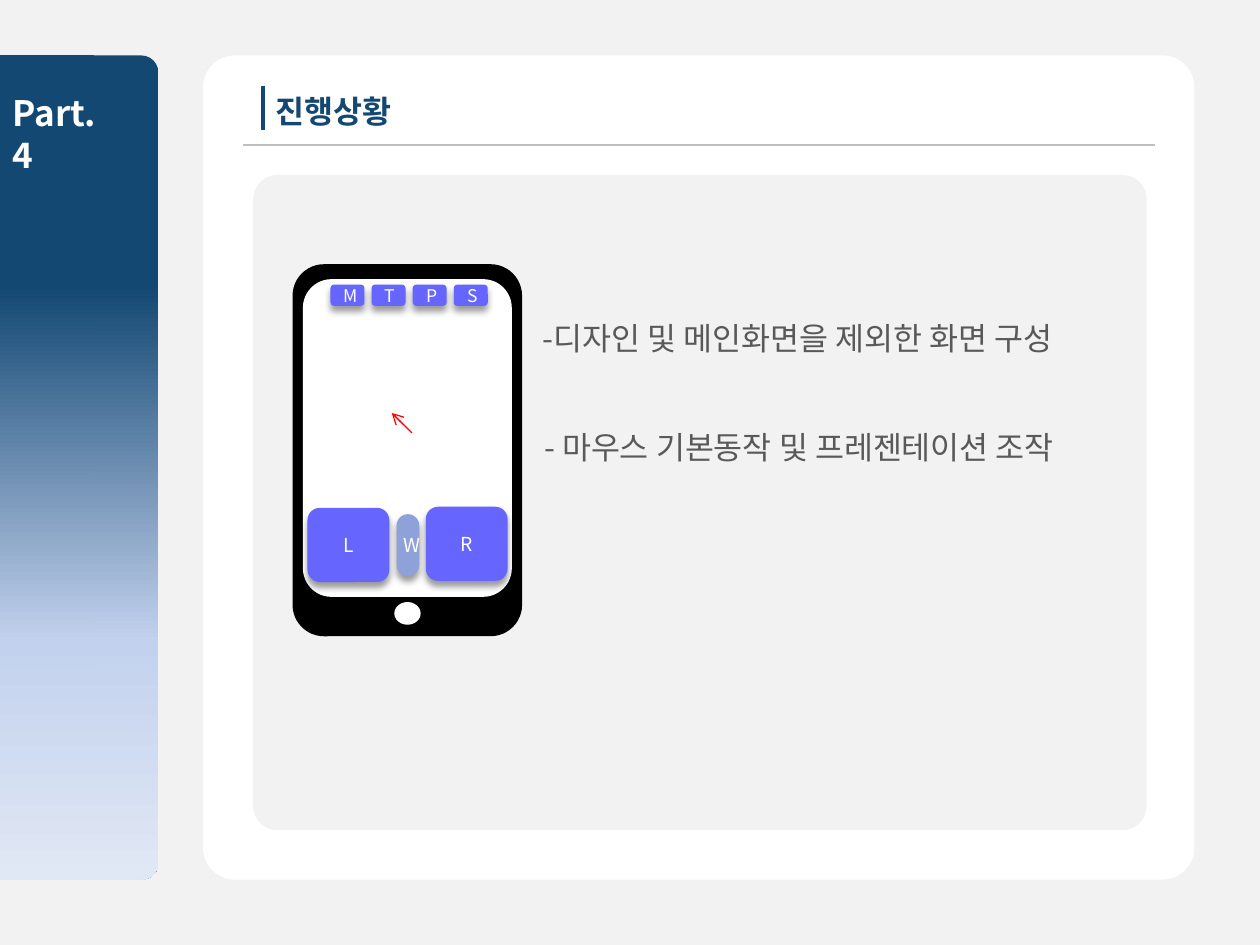
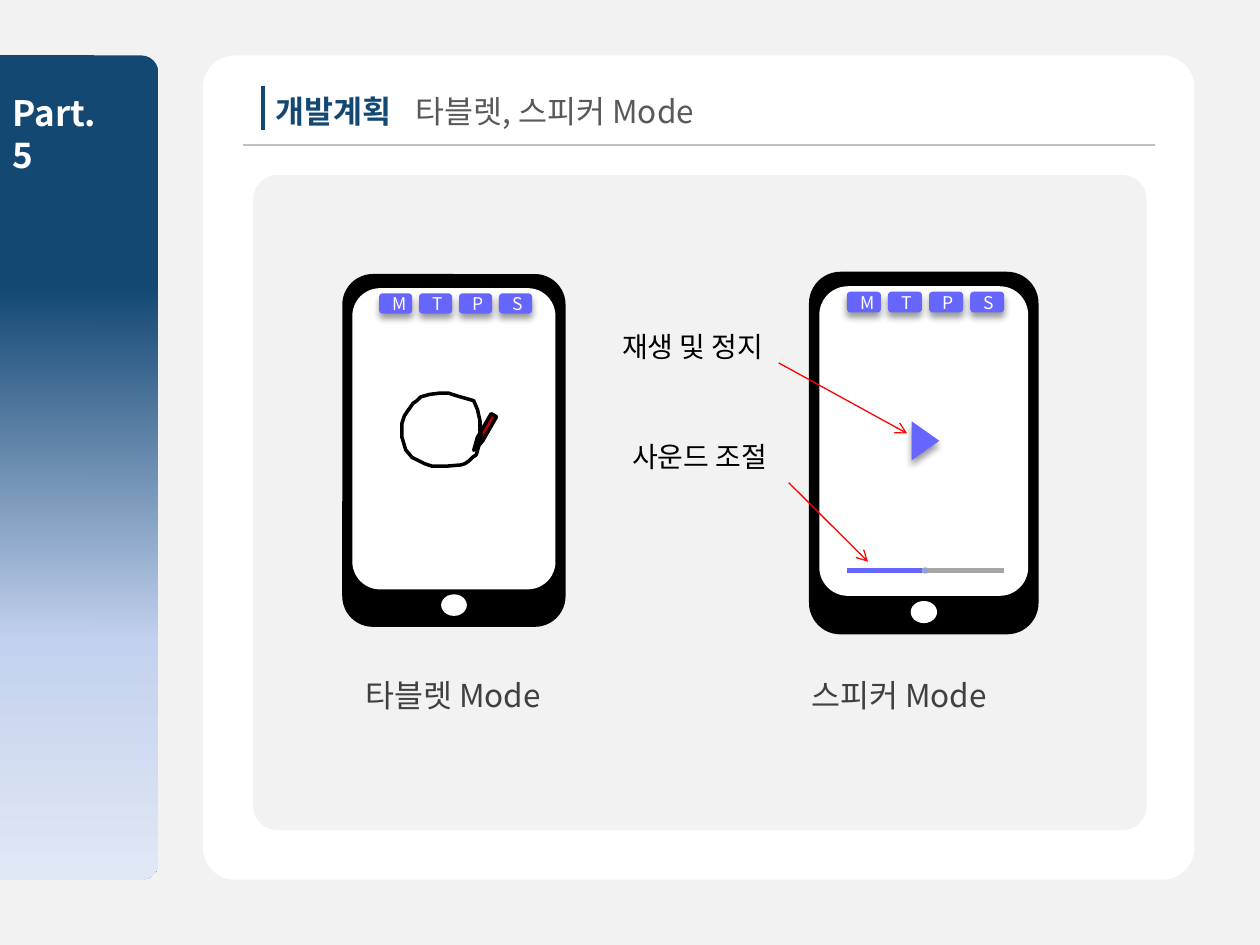
from lxml.etree import SubElement
from pptx import Presentation
from pptx.dml.color import RGBColor
from pptx.enum.shapes import MSO_CONNECTOR, MSO_SHAPE
from pptx.enum.text import MSO_ANCHOR, MSO_AUTO_SIZE, PP_ALIGN
from pptx.oxml.ns import qn
from pptx.util import Pt

FONT = "Noto Sans CJK KR"
NAVY, BLUE, PALE = "134873", "6666FF", "8EA1D8"
WHITE, BLACK, RED = "FFFFFF", "000000", "FF0000"
GRAY, DARK, LIGHT = "595959", "404040", "F2F2F2"
FADE = [(28, NAVY), (71, "C2D1ED"), (100, "E1E8F5")]
ROUND, RECT = MSO_SHAPE.ROUNDED_RECTANGLE, MSO_SHAPE.RECTANGLE
OVAL, WEDGE = MSO_SHAPE.OVAL, MSO_SHAPE.ISOSCELES_TRIANGLE
LOOP = [(382, 345), (381, 342), (381, 334), (379, 325), (376, 318), (369, 316),
        (362, 314), (356, 312), (349, 312), (341, 313), (334, 315), (331, 318),
        (328, 320), (323, 327), (321, 330), (319, 336), (319, 347), (322, 357),
        (327, 363), (333, 366), (337, 368), (343, 370), (354, 370), (366, 369),
        (369, 368), (372, 366), (375, 363), (378, 361), (380, 354)]


def color(code):
    return RGBColor.from_string(code)


class Deck:
    """Draws styled elements on the current slide."""

    def __init__(self):
        self.file = Presentation()
        self.file.slide_width, self.file.slide_height = Pt(720), Pt(540)

    def run(self, para, text, size, ink, bold=False):
        run = para.add_run()
        run.text = text
        font = run.font
        font.name, font.size, font.bold = FONT, Pt(size), bold
        font.color.rgb = color(ink)
        SubElement(font._element, qn("a:ea"), typeface=FONT)

    def shape(self, kind, x, y, w, h, fill, adj=None, line=None, turn=0):
        shape = self.slide.shapes.add_shape(kind, Pt(x), Pt(y), Pt(w), Pt(h))
        shape.shadow.inherit = False
        shape.fill.solid()
        shape.fill.fore_color.rgb = color(fill)
        shape.rotation = turn
        if adj is not None:
            shape.adjustments[0] = adj
        if line:
            shape.line.color.rgb = color(line)
            shape.line.width = Pt(2)
        else:
            shape.line.fill.background()
        return shape

    def veil(self, alpha):
        shape = self.shape(RECT, 0, 0, 720, 540, BLACK)
        tint = shape._element.spPr.find(".//" + qn("a:srgbClr"))
        SubElement(tint, qn("a:alpha"), val=str(alpha * 1000))

    def fade(self, kind, x, y, w, h, adj=None):
        shape = self.shape(kind, x, y, w, h, NAVY, adj)
        shape.fill.gradient()
        shape.fill.gradient_angle = 270
        stops = shape._element.spPr.find(".//" + qn("a:gsLst"))
        for old in list(stops):
            stops.remove(old)
        for pos, code in FADE:
            stop = SubElement(stops, qn("a:gs"), pos=str(pos * 1000))
            SubElement(stop, qn("a:srgbClr"), val=code)

    def raised(self, kind, x, y, w, h, fill=BLUE, adj=None, turn=0):
        shape = self.shape(kind, x, y, w, h, fill, adj, turn=turn)
        glow = SubElement(shape._element.spPr.find(qn("a:effectLst")), qn("a:outerShdw"),
                          blurRad=str(Pt(4)), dist=str(Pt(3)), dir="5400000",
                          algn="t", rotWithShape="0")
        tint = SubElement(glow, qn("a:srgbClr"), val=BLACK)
        SubElement(tint, qn("a:alpha"), val="40000")
        return shape

    def key(self, text, x, y, w, h, size=10, fill=BLUE, adj=None):
        frame = self.raised(ROUND, x, y, w, h, fill, adj).text_frame
        frame.vertical_anchor = MSO_ANCHOR.MIDDLE
        para = frame.paragraphs[0]
        para.alignment = PP_ALIGN.CENTER
        self.run(para, text, size, WHITE)

    def line(self, x, y, to_x, to_y, ink, width, arrow=False):
        line = self.slide.shapes.add_connector(
            MSO_CONNECTOR.STRAIGHT, Pt(x), Pt(y), Pt(to_x), Pt(to_y))
        line.line.color.rgb = color(ink)
        line.line.width = Pt(width)
        if arrow:
            SubElement(line.line._get_or_add_ln(), qn("a:tailEnd"), type="arrow")
        SubElement(line._element.spPr, qn("a:effectLst"))

    def text(self, text, x, y, w, h, size=18, ink=GRAY, bold=False, wrap=False):
        frame = self.slide.shapes.add_textbox(Pt(x), Pt(y), Pt(w), Pt(h)).text_frame
        frame.word_wrap = wrap
        frame.auto_size = MSO_AUTO_SIZE.NONE if wrap else MSO_AUTO_SIZE.SHAPE_TO_FIT_TEXT
        para = frame.paragraphs[0]
        if wrap:
            para.line_spacing = Pt(size * 1.2)
        self.run(para, text, size, ink, bold)

    def page(self, part, title):
        self.slide = self.file.slides.add_slide(self.file.slide_layouts[6])
        self.veil(5)
        self.fade(ROUND, 0, 31.7, 90.5, 471, 0.108)
        self.fade(RECT, 0, 31.7, 54, 471)
        self.text(part, 0, 49, 70.5, 55.4, 20, WHITE, True, True)
        self.shape(ROUND, 116, 31.7, 566.6, 471, WHITE, 0.039)
        self.line(139, 82.8, 660.2, 82.8, "BFBFBF", 1.5)
        self.line(150.5, 49, 150.5, 74.2, NAVY, 2.25)
        self.text(title, 150.5, 49, 87, 28.8, ink=NAVY, bold=True)
        self.shape(ROUND, 144.7, 100, 510.5, 374.4, LIGHT, 0.037)

    def phone(self, x, y, w, h):
        self.shape(ROUND, x, y, w, h, BLACK, 0.137)
        self.shape(OVAL, x + w * 0.443, y + h * 0.908, w * 0.115, h * 0.061, WHITE)
        self.shape(ROUND, x + w * 0.045, y + h * 0.04, w * 0.91, h * 0.854, WHITE, 0.137)
        for i, name in enumerate("MTPS"):
            self.key(name, x + w * (0.165 + 0.179 * i), y + h * 0.055, w * 0.148, h * 0.057)

    def loop(self):
        pen = self.slide.shapes.build_freeform(*LOOP[0], scale=Pt(0.72))
        pen.add_line_segments(LOOP[1:], close=True)
        shape = pen.convert_to_shape()
        shape.shadow.inherit = False
        shape.fill.background()
        shape.line.color.rgb = color(BLACK)
        shape.line.width = Pt(2)


deck = Deck()

deck.page("Part.4", "진행상황")
deck.phone(167.2, 151, 131.2, 212.6)
deck.key("L", 175.7, 290.2, 46.8, 42.4, 11)
deck.key("R", 243.3, 289.6, 46.8, 42.4, 11)
deck.key("W", 226.6, 293.8, 13, 35.4, 11, PALE, 0.5)
deck.text("-디자인 및 메인화면을 제외한 화면 구성", 303.1, 178.6, 344.9, 28.8)
deck.text("- 마우스 기본동작 및 프레젠테이션 조작", 303.8, 241.2, 344.9, 28.8)
deck.line(235.4, 247.4, 223.9, 236, RED, 0.75, True)

deck.page("Part.5", "개발계획")
deck.text("타블렛, 스피커 Mode", 230.4, 49, 188.6, 28.8)
deck.phone(195.6, 156.6, 127.6, 201.6)
deck.phone(462.3, 155.3, 131.2, 207.2)
for mode, left in (("타블렛 Mode", 201.6), ("스피커 Mode", 456.5)):
    deck.text(mode, left, 383, 123.8, 28.8, ink=DARK)
deck.shape(RECT, 276.5, 236.2, 3.6, 15.8, "C00000", line=BLACK, turn=30)
deck.shape(WEDGE, 270.7, 250.6, 3.6, 7.2, BLACK, line=BLACK, turn=210)
deck.loop()
deck.raised(WEDGE, 517.7, 244, 22.3, 15.8, turn=90)
deck.line(484, 326, 573.8, 326, "A6A6A6", 3)
deck.line(484, 326, 527, 326, BLUE, 3)
deck.shape(OVAL, 527, 324.2, 3.6, 3.6, PALE)
deck.line(445, 207.4, 518.4, 247.7, RED, 0.75, True)
deck.text("재생 및 정지", 348.5, 185, 106.6, 26.6, 16, BLACK)
deck.line(450.7, 275.8, 496, 321, RED, 0.75, True)
deck.text("사운드 조절", 354.2, 247.7, 100.8, 26.6, 16, BLACK)

deck.file.save("out.pptx")
